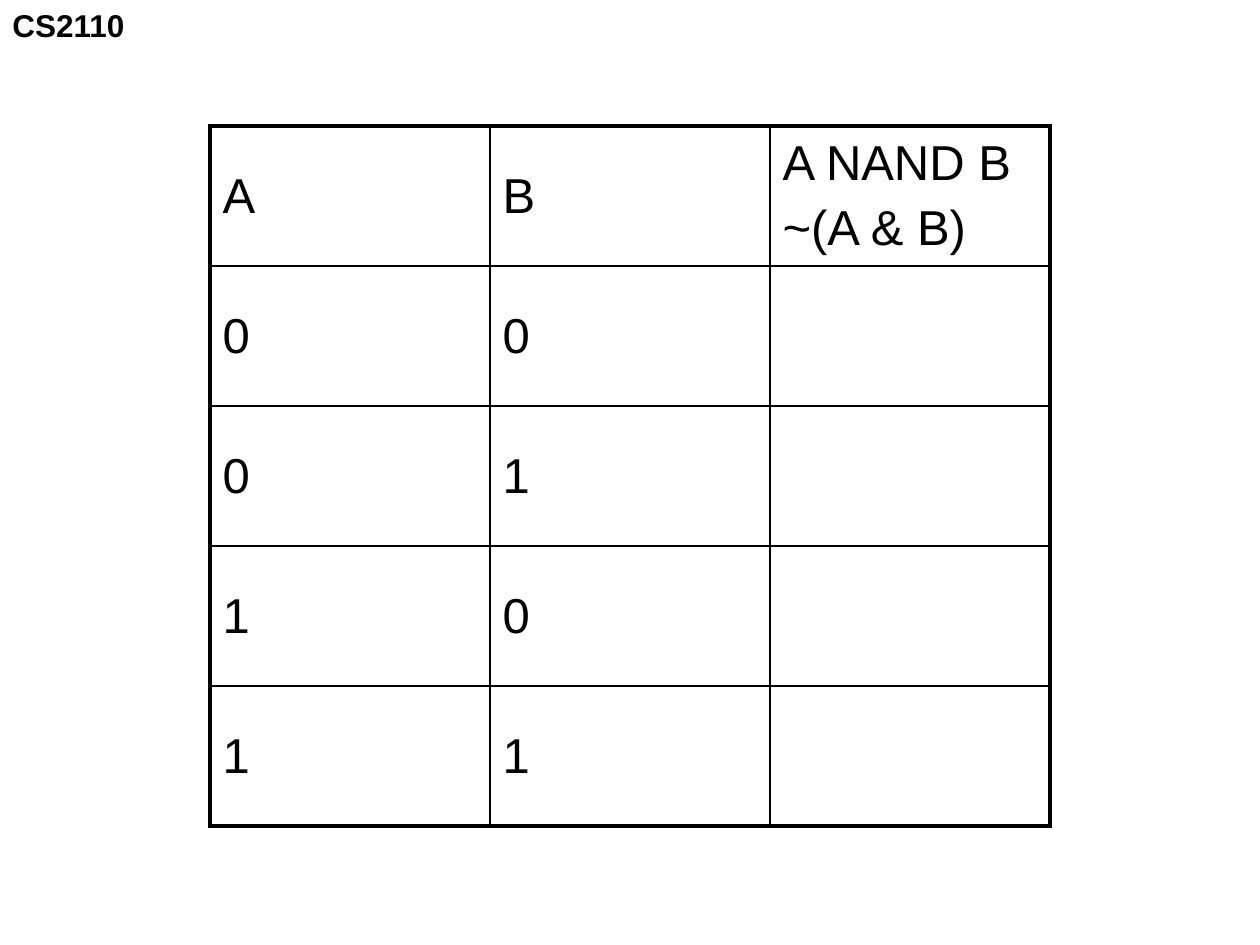
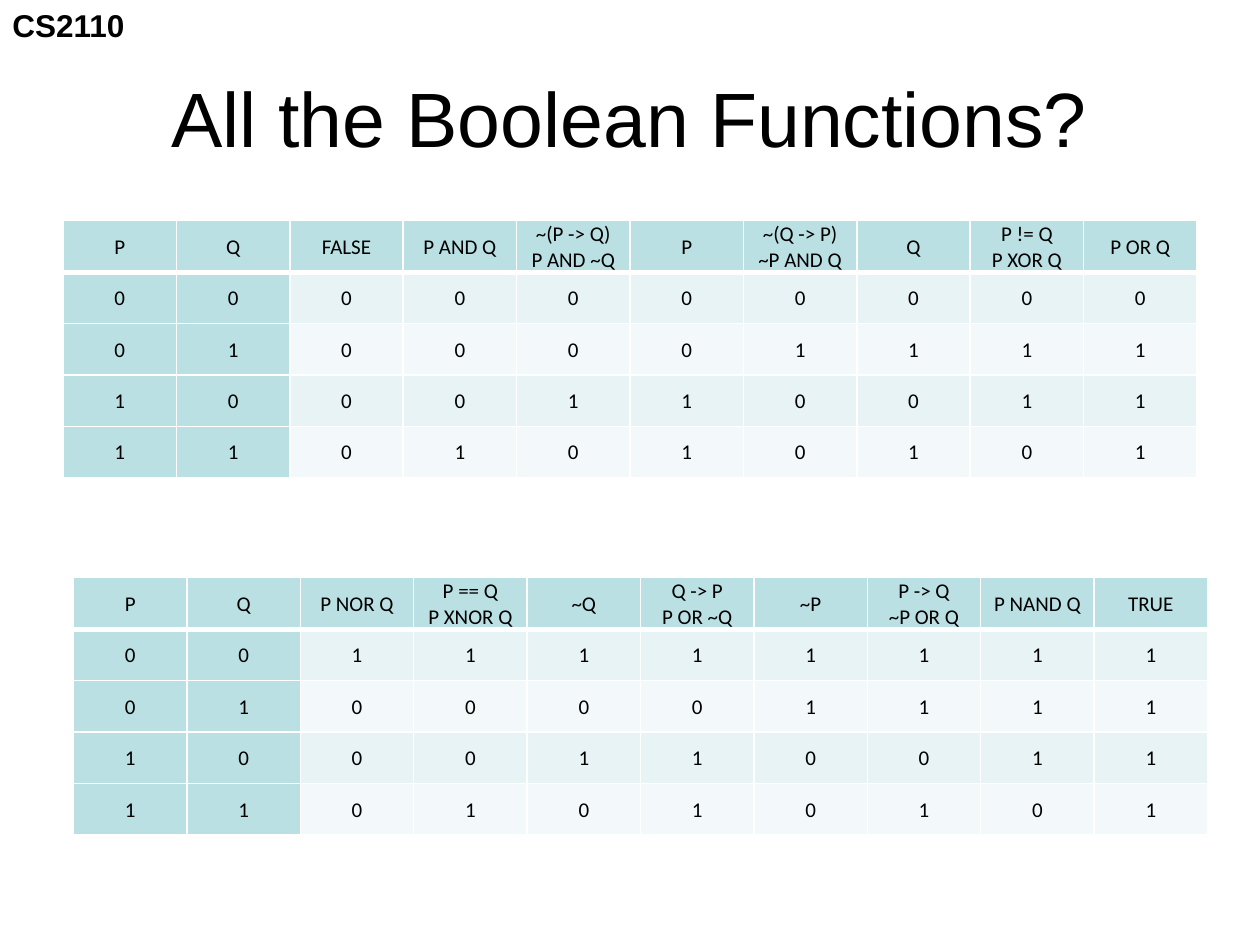
import dataclasses
import itertools

import lxml.etree
import pptx
import pptx.dml.color
import pptx.enum.text
import pptx.oxml.ns
import pptx.util

Pt = pptx.util.Pt
ALIGN = pptx.enum.text.PP_ALIGN
ANCHOR = pptx.enum.text.MSO_ANCHOR


# Theme: colours, type sizes and table looks
@dataclasses.dataclass(frozen=True)
class TableLook:
    font: str
    size: float
    align: ALIGN
    line_color: str
    outer: float
    inner: float
    under_header: float
    key_fill: str
    band_fills: tuple
    key_columns: int = 0
    paragraph_gap: float = 0
    margins: dict = dataclasses.field(default_factory=dict)


@dataclasses.dataclass(frozen=True)
class Theme:
    ink: str = "000000"
    font: str = "Arial"
    tag_size: float = 18
    title_size: float = 44
    exercise: TableLook = dataclasses.field(default_factory=lambda: TableLook(
        font="Arial", size=28, align=ALIGN.LEFT, line_color="000000",
        outer=2.25, inner=1, under_header=1, key_fill="FFFFFF",
        band_fills=("FFFFFF",), paragraph_gap=5.6))
    functions: TableLook = dataclasses.field(default_factory=lambda: TableLook(
        font="Calibri", size=12, align=ALIGN.CENTER, line_color="FFFFFF",
        outer=1, inner=1, under_header=3, key_fill="BBE0E3",
        band_fills=("E7F3F4", "F3F9FA"), key_columns=2,
        margins={"margin_left": Pt(0.72), "margin_right": Pt(0.72),
                 "margin_top": Pt(0.72), "margin_bottom": 0}))


def rgb(value):
    return pptx.dml.color.RGBColor.from_string(value)


def apply(target, values):
    for name, value in values.items():
        setattr(target, name, value)


class SlideBuilder:
    """Holds the theme and the current slide."""

    def __init__(self, deck, theme):
        self.deck = deck
        self.theme = theme
        self.slide = None

    def new_slide(self):
        self.slide = self.deck.slides.add_slide(self.deck.slide_layouts[6])
        self.text("CS2110", (0, 0, 79, 29), self.theme.tag_size, bold=True, wrap=False)

    def fill_text(self, frame, content, font, size, bold=False, align=ALIGN.LEFT, gap=0):
        for index, line in enumerate(content.split("\n")):
            para = frame.paragraphs[0] if index == 0 else frame.add_paragraph()
            para.alignment = align
            if index and gap:
                para.space_before = Pt(gap)
            if line:
                span = para.add_run()
                span.text = line
                apply(span.font, {"name": font, "size": Pt(size), "bold": bold})
                span.font.color.rgb = rgb(self.theme.ink)

    def text(self, content, place, size, bold=False, align=ALIGN.LEFT,
             anchor=ANCHOR.TOP, wrap=True):
        box = self.slide.shapes.add_textbox(*map(Pt, place))
        apply(box.text_frame, {"word_wrap": wrap, "vertical_anchor": anchor})
        self.fill_text(box.text_frame, content, self.theme.font, size, bold, align)

    def title(self, content):
        self.text(content, (36, 21.6, 648, 90), self.theme.title_size,
                  align=ALIGN.CENTER, anchor=ANCHOR.MIDDLE)

    def borders(self, cell, widths, color):
        properties = cell._tc.get_or_add_tcPr()
        for side, width in widths.items():
            line = lxml.etree.SubElement(
                properties, pptx.oxml.ns.qn(f"a:ln{side}"), w=str(int(Pt(width))))
            fill = lxml.etree.SubElement(line, pptx.oxml.ns.qn("a:solidFill"))
            lxml.etree.SubElement(fill, pptx.oxml.ns.qn("a:srgbClr"), val=color)

    def table(self, rows, place, look):
        row_count, column_count = len(rows), len(rows[0])
        left, top, width, height = place
        table = self.slide.shapes.add_table(
            row_count, column_count, *map(Pt, place)).table
        apply(table, {"first_row": False, "horz_banding": False})
        for column in table.columns:
            column.width = Pt(width / column_count)
        for row in table.rows:
            row.height = Pt(height / row_count)

        # Line widths by position, from the first edge to the last
        across = [look.outer] + [look.inner] * (column_count - 1) + [look.outer]
        down = ([look.outer, look.under_header]
                + [look.inner] * (row_count - 2) + [look.outer])

        for r, c in itertools.product(range(row_count), range(column_count)):
            cell = table.cell(r, c)
            apply(cell, {"vertical_anchor": ANCHOR.MIDDLE, **look.margins})
            self.borders(cell, {"L": across[c], "R": across[c + 1],
                                "T": down[r], "B": down[r + 1]}, look.line_color)
            is_key = r == 0 or c < look.key_columns
            band = look.band_fills[(r - 1) % len(look.band_fills)]
            cell.fill.solid()
            cell.fill.fore_color.rgb = rgb(look.key_fill if is_key else band)
            self.fill_text(cell.text_frame, rows[r][c], look.font, look.size,
                           align=look.align, gap=look.paragraph_gap)


# Truth tables: the inputs count up in binary, and so do the sixteen functions
INPUTS = list(itertools.product("01", repeat=2))
FUNCTIONS = [
    "FALSE", "P AND Q", "~(P -> Q)\nP AND ~Q", "P",
    "~(Q -> P)\n~P AND Q", "Q", "P != Q\nP XOR Q", "P OR Q",
    "P NOR Q", "P == Q\nP XNOR Q", "~Q", "Q -> P\nP OR ~Q",
    "~P", "P -> Q\n~P OR Q", "P NAND Q", "TRUE",
]


def function_rows(first, last):
    outputs = [f"{number:04b}" for number in range(first, last)]
    header = ["P", "Q", *FUNCTIONS[first:last]]
    return [header] + [[*pair, *(bits[index] for bits in outputs)]
                       for index, pair in enumerate(INPUTS)]


def main():
    deck = pptx.Presentation()
    apply(deck, {"slide_width": Pt(720), "slide_height": Pt(540)})
    theme = Theme()
    builder = SlideBuilder(deck, theme)

    # Slide 1: NAND exercise with empty answers
    builder.new_slide()
    nand_rows = [["A", "B", "A NAND B\n~(A & B)"]] + [[*pair, ""] for pair in INPUTS]
    builder.table(nand_rows, (120, 72, 480, 400), theme.exercise)

    # Slide 2: all sixteen functions in two halves
    builder.new_slide()
    builder.title("All the Boolean Functions?")
    builder.table(function_rows(0, 8), (36, 126, 648, 147), theme.functions)
    builder.table(function_rows(8, 16), (42, 330, 648, 147), theme.functions)

    deck.save("out.pptx")


if __name__ == "__main__":
    main()
